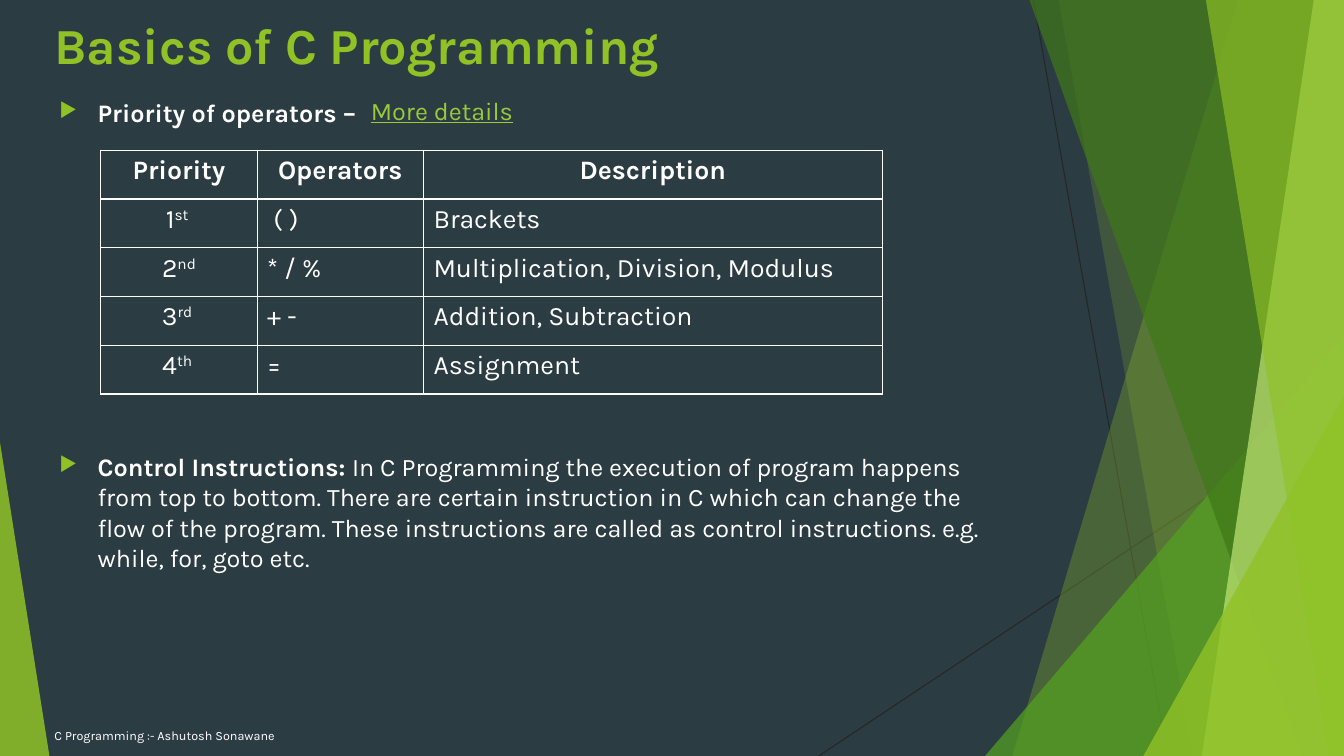
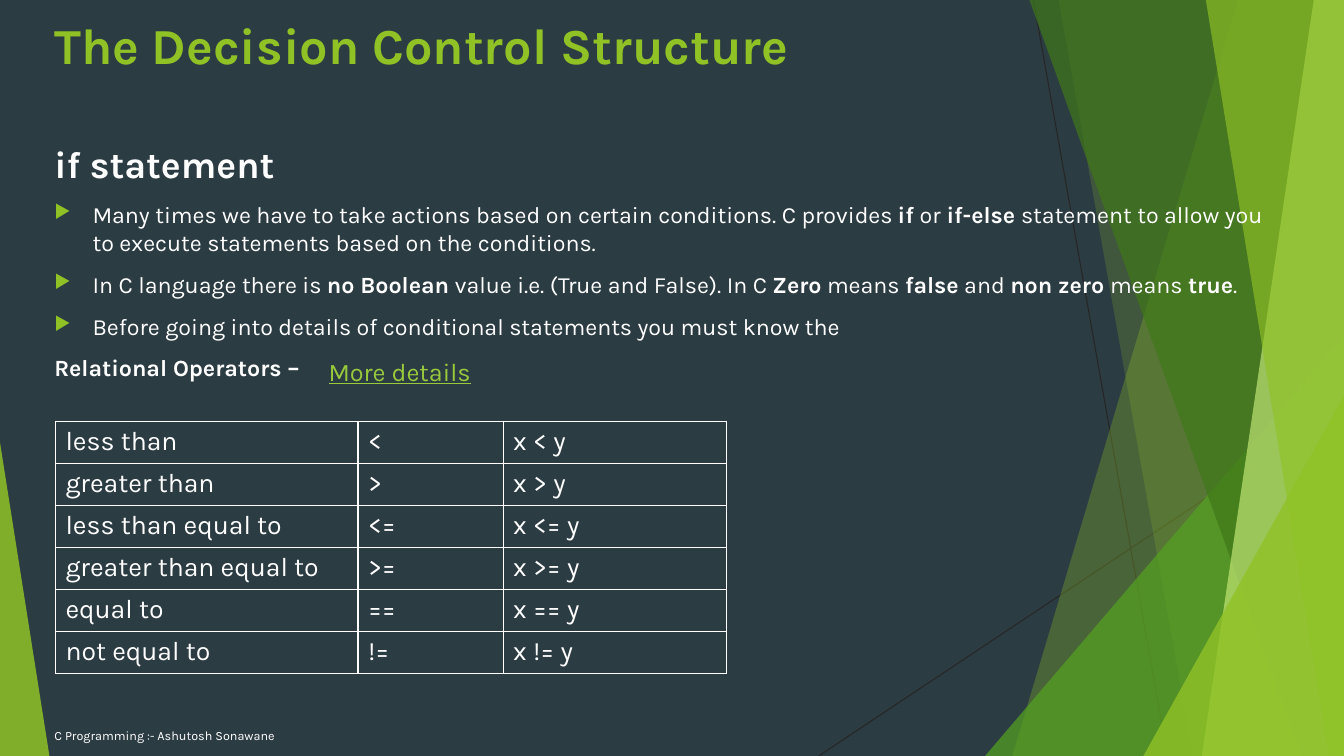
from lxml.etree import SubElement
from pptx import Presentation
from pptx.dml.color import RGBColor
from pptx.enum.shapes import MSO_CONNECTOR, MSO_SHAPE
from pptx.enum.text import MSO_ANCHOR, PP_ALIGN
from pptx.oxml.ns import qn
from pptx.util import Inches, Pt

FONT = "Karla"
BACKGROUND = "2C3C43"
WHITE = "FFFFFF"
GREEN = "90C226"
LINK = "99CA3C"
WIDTH, HEIGHT = 13.33, 7.5

FOOTER = "C Programming :- Ashutosh Sonawane"
THIN_LINES = [((10.25, 0), (11.58, HEIGHT)), ((WIDTH, 4.03), (8.12, HEIGHT))]

# Panels reach the right edge: x at the top, x at the bottom, colour, opacity.
# Triangles: left, top, width, side of the apex (0 left, 1 right), colour, opacity.
FACETS = [
    ("panel", (12.28, 10.04), GREEN, 30),
    ("panel", (10.5, 11.83), GREEN, 20),
    ("triangle", (9.77, 3.33, 3.56, 1), "54A021", 72),
    ("panel", (10.21, 12.91), "3F7819", 70),
    ("panel", (13.03, 11.92), "C0E474", 70),
    ("panel", (11.96, 13.18), GREEN, 65),
    ("triangle", (11.34, 3.93, 1.99, 1), GREEN, 80),
    ("triangle", (0, 4.39, 0.49, 0), GREEN, 85),
]

# Body paragraphs: text, size, bulleted, space before. Text between ** is bold.
# In table cells, text after ^ is superscript.
SLIDES = [
    {
        "title": "Basics of C Programming",
        "body_box": (0.49, 0.92, 9.4, 5.99),
        "body": [
            ("**Priority of operators –**", 18, True, 0),
            ("**Control Instructions: **In C Programming the execution of program "
             "happens from top to bottom. There are certain instruction in C which "
             "can change the flow of the program. These instructions are called as "
             "control instructions. e.g. while, for, goto etc.", 18, True, 231),
        ],
        "table_box": (1, 1.49, 2.42),
        "columns": (1.55, 1.65, 4.55),
        "has_headings": True,
        "rows": [
            ("**Priority**", "**Operators**", "**Description**"),
            ("1^st ", " ( )", "Brackets"),
            ("2^nd", "* / %", "Multiplication, Division, Modulus"),
            ("3^rd ", "+ -", "Addition, Subtraction"),
            ("4^th ", "=", "Assignment"),
        ],
        "link_position": (3.58, 0.9),
    },
    {
        "title": "The Decision Control Structure",
        "body_box": (0.44, 1.35, 12.44, 2.58),
        "body": [
            ("**if statement**", 26.8, False, 0),
            ("Many times we have to take actions based on certain conditions. "
             "C provides **if **or** if-else **statement to allow you to execute "
             "statements based on the conditions.", 16.6, True, 10),
            ("In C language there is **no Boolean **value i.e. (True and False). "
             "In C **Zero** means **false** and **non zero **means **true**.",
             16.6, True, 10),
            ("Before going into details of conditional statements you must know the",
             16.6, True, 10),
            ("**Relational Operators –**", 16.6, False, 10),
        ],
        "table_box": (0.55, 4.18, 2.48),
        "columns": (3, 1.44, 2.22),
        "has_headings": False,
        "rows": [
            (name, operator, f"x {operator} y")
            for name, operator in [
                ("less than", "<"),
                ("greater than", ">"),
                ("less than equal to", "<="),
                ("greater than equal to", ">="),
                ("equal to", "=="),
                ("not equal to", "!="),
            ]
        ],
        "link_position": (3.16, 3.49),
    },
]


def write(paragraph, text, size=18, color=WHITE, underline=False, superscript=False):
    """Append runs to the paragraph; text between ** is bold."""
    for index, piece in enumerate(text.split("**")):
        if not piece:
            continue
        run = paragraph.add_run()
        run.text = piece
        run.font.name = FONT
        run.font.size = Pt(size)
        run.font.bold = index % 2 == 1
        run.font.underline = underline
        run.font.color.rgb = RGBColor.from_string(color)
        if superscript:
            run.font._element.set("baseline", "30000")


def add_text_box(slide, left, top, width, height):
    """Return the text frame of a new wrapping text box."""
    box = slide.shapes.add_textbox(
        Inches(left), Inches(top), Inches(width), Inches(height))
    box.text_frame.word_wrap = True
    return box.text_frame


presentation = Presentation()
presentation.slide_width = Inches(WIDTH)
presentation.slide_height = Inches(HEIGHT)
master_fill = presentation.slide_master.background.fill
master_fill.solid()
master_fill.fore_color.rgb = RGBColor.from_string(BACKGROUND)

for content in SLIDES:
    slide = presentation.slides.add_slide(presentation.slide_layouts[6])

    # Decoration
    for start, end in THIN_LINES:
        connector = slide.shapes.add_connector(
            MSO_CONNECTOR.STRAIGHT, *[Inches(value) for value in start + end])
        connector.line.color.rgb = RGBColor.from_string("262626")
        connector.line.width = Pt(0.75)
        SubElement(connector._element.spPr, qn("a:effectLst"))

    for kind, geometry, color, opacity in FACETS:
        if kind == "panel":
            top_x, bottom_x = geometry
            corners = [(WIDTH, 0), (WIDTH, HEIGHT), (bottom_x, HEIGHT)]
            builder = slide.shapes.build_freeform(Inches(top_x), 0)
            builder.add_line_segments([(Inches(x), Inches(y)) for x, y in corners])
            shape = builder.convert_to_shape()
        else:
            left, top, width, apex = geometry
            shape = slide.shapes.add_shape(
                MSO_SHAPE.ISOSCELES_TRIANGLE, Inches(left), Inches(top),
                Inches(width), Inches(HEIGHT - top))
            shape.adjustments[0] = apex
        shape.shadow.inherit = False
        shape.line.fill.background()
        shape.fill.solid()
        shape.fill.fore_color.rgb = RGBColor.from_string(color)
        fill_color = shape._element.spPr.find(f"{qn('a:solidFill')}/{qn('a:srgbClr')}")
        SubElement(fill_color, qn("a:alpha"), val=str(opacity * 1000))

    # Title and body
    title_frame = add_text_box(slide, 0.44, 0.09, 10.98, 0.83)
    write(title_frame.paragraphs[0], f"**{content['title']}**", size=36, color=GREEN)

    body_frame = add_text_box(slide, *content["body_box"])
    for index, (text, size, bulleted, space_before) in enumerate(content["body"]):
        paragraph = body_frame.add_paragraph() if index else body_frame.paragraphs[0]
        if bulleted:
            properties = paragraph._p.get_or_add_pPr()
            properties.set("marL", str(Inches(0.38)))
            properties.set("indent", str(-Inches(0.38)))
            bullet_color = SubElement(properties, qn("a:buClr"))
            SubElement(bullet_color, qn("a:srgbClr"), val=GREEN)
            SubElement(properties, qn("a:buSzPct"), val="80000")
            SubElement(properties, qn("a:buChar"), char="▶")
        if space_before:
            paragraph.space_before = Pt(space_before)
        write(paragraph, text, size=size)

    # Footer
    footer_frame = add_text_box(slide, 0.44, 7.1, 6.89, 0.4)
    footer_frame.vertical_anchor = MSO_ANCHOR.MIDDLE
    write(footer_frame.paragraphs[0], FOOTER, size=9)

    # Table
    left, top, height = content["table_box"]
    columns, rows = content["columns"], content["rows"]
    table = slide.shapes.add_table(
        len(rows), len(columns), Inches(left), Inches(top),
        Inches(sum(columns)), Inches(height)).table
    table.first_row = False
    table.horz_banding = False
    for column, width in zip(table.columns, columns):
        column.width = Inches(width)
    for row_index, row in enumerate(rows):
        for column_index, text in enumerate(row):
            cell = table.cell(row_index, column_index)
            cell_properties = cell._tc.get_or_add_tcPr()
            for side in ("a:lnL", "a:lnR", "a:lnT", "a:lnB"):
                border = SubElement(cell_properties, qn(side), w=str(Pt(1)))
                border_fill = SubElement(border, qn("a:solidFill"))
                SubElement(border_fill, qn("a:srgbClr"), val=WHITE)
            cell.fill.background()
            paragraph = cell.text_frame.paragraphs[0]
            if content["has_headings"] and 0 in (row_index, column_index):
                paragraph.alignment = PP_ALIGN.CENTER
            base, _, ending = text.partition("^")
            write(paragraph, base, size=19)
            write(paragraph, ending, size=19, superscript=True)

    # Link label
    link_frame = add_text_box(slide, *content["link_position"], 2.75, 0.4)
    write(link_frame.paragraphs[0], "More details", color=LINK, underline=True)

presentation.save("out.pptx")
